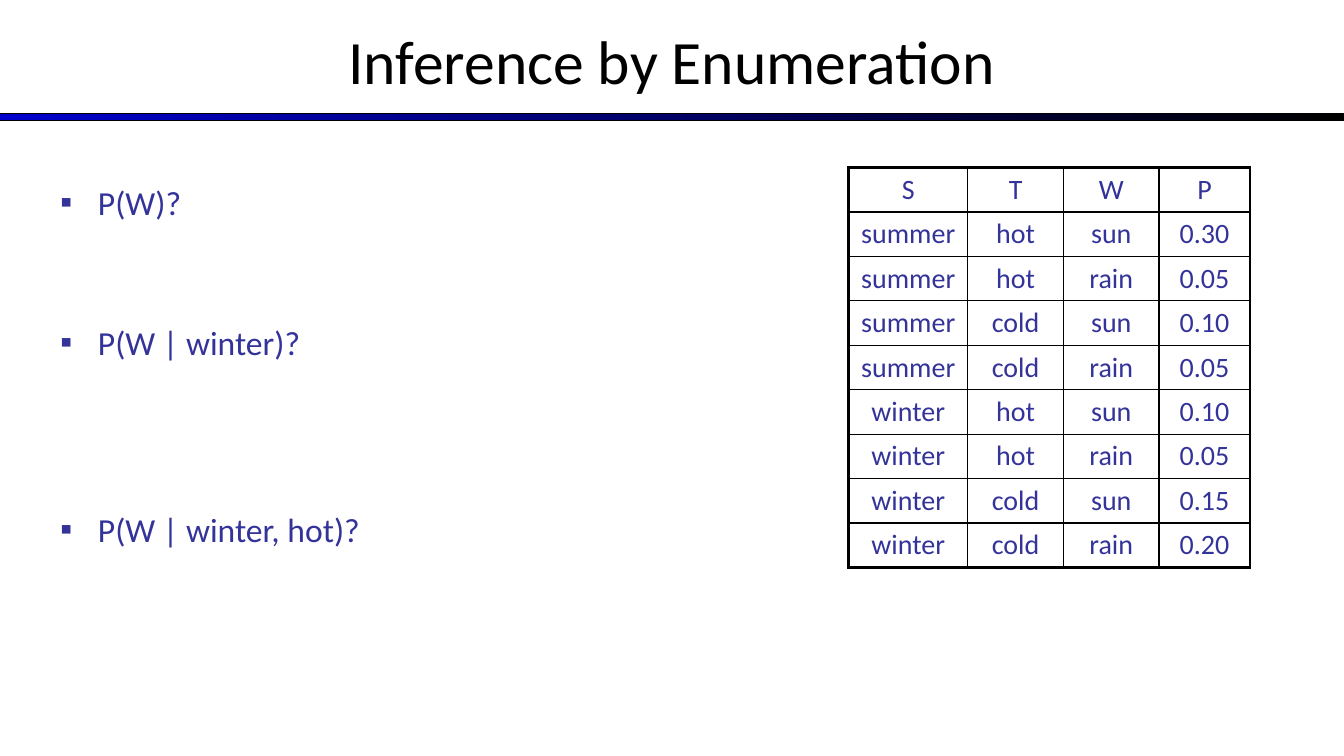
from dataclasses import dataclass
from itertools import product

from lxml.etree import SubElement
from pptx import Presentation
from pptx.dml.color import RGBColor
from pptx.enum.shapes import MSO_SHAPE as Shape
from pptx.enum.text import MSO_ANCHOR as Anchor, PP_ALIGN as Align
from pptx.oxml.ns import qn
from pptx.util import Cm, Pt

COLORS = {"text": "333399", "title": "000000", "border": "000000",
          "rule_start": "0000CC", "rule_end": "000000", "cell": "FFFFFF"}
FONT = "Calibri"
SLIDE_WIDTH, SLIDE_HEIGHT = 33.87, 19.05
ROW_HEIGHT = 1.12
OUTER_BORDER, INNER_BORDER = 2.25, 1


@dataclass
class Question:
    text: str
    space_before: float


@dataclass
class Column:
    heading: str
    width: float


QUESTIONS = [Question("P(W)?", 0), Question("P(W | winter)?", 71.4),
             Question("P(W | winter, hot)?", 105)]
COLUMNS = [Column("S", 3), Column("T", 2.41), Column("W", 2.41), Column("P", 2.29)]
PROBABILITIES = ["0.30", "0.05", "0.10", "0.05", "0.10", "0.05", "0.15", "0.20"]
OUTCOMES = product(["summer", "winter"], ["hot", "cold"], ["sun", "rain"])


def color(name: str) -> RGBColor:
    return RGBColor.from_string(COLORS[name])


def write_text(paragraph, text: str, *, size: float, color_name: str = "text",
               align=Align.CENTER, space_before: float = 0) -> None:
    paragraph.alignment = align
    paragraph.space_before = Pt(space_before)
    run = paragraph.add_run()
    run.text = text
    run.font.name = FONT
    run.font.size = Pt(size)
    run.font.bold = False
    run.font.color.rgb = color(color_name)


def add_bullet(paragraph) -> None:
    properties = paragraph._p.get_or_add_pPr()
    properties.set("marL", str(Cm(0.95)))
    properties.set("indent", str(Cm(-0.95)))
    bullet_color = SubElement(properties, qn("a:buClr"))
    SubElement(bullet_color, qn("a:srgbClr"), val=COLORS["text"])
    SubElement(properties, qn("a:buFont"), typeface=FONT)
    SubElement(properties, qn("a:buChar"), char="▪")


def set_border(cell, side: str, width: float) -> None:
    line = SubElement(cell._tc.get_or_add_tcPr(), qn(f"a:ln{side}"), w=str(Pt(width)))
    fill = SubElement(line, qn("a:solidFill"))
    SubElement(fill, qn("a:srgbClr"), val=COLORS["border"])


def add_rule(slide) -> None:
    rule = slide.shapes.add_shape(Shape.RECTANGLE, 0, Cm(2.87), Cm(SLIDE_WIDTH), Cm(0.18))
    rule.shadow.inherit = False
    rule.fill.gradient()
    rule.fill.gradient_angle = 0
    for stop, name, position in zip(rule.fill.gradient_stops,
                                    ["rule_start", "rule_end"], [0, 1]):
        stop.color.rgb = color(name)
        stop.position = position
    rule.line.color.rgb = color("border")
    rule.line.width = Pt(0.75)


def format_title(slide, text: str) -> None:
    title = slide.shapes.title
    title.left, title.top = Cm(0), Cm(-0.08)
    title.width, title.height = Cm(SLIDE_WIDTH), Cm(3.18)
    title.text_frame.vertical_anchor = Anchor.MIDDLE
    write_text(title.text_frame.paragraphs[0], text, size=44, color_name="title")


def add_questions(slide, questions: list[Question]) -> None:
    box = slide.shapes.add_textbox(Cm(1.27), Cm(4.45), Cm(11.23), Cm(12.57))
    frame = box.text_frame
    frame.word_wrap = True
    for index, question in enumerate(questions):
        paragraph = frame.add_paragraph() if index else frame.paragraphs[0]
        write_text(paragraph, question.text, size=24, align=Align.LEFT,
                   space_before=question.space_before)
        add_bullet(paragraph)


def add_joint_table(slide, columns: list[Column], rows: list[list[str]]) -> None:
    width = sum(column.width for column in columns)
    table = slide.shapes.add_table(len(rows), len(columns), Cm(21.39), Cm(4.22),
                                   Cm(width), Cm(ROW_HEIGHT * len(rows))).table
    table.first_row = table.horz_banding = False
    for table_column, column in zip(table.columns, columns):
        table_column.width = Cm(column.width)
    last_row, last_column = len(rows) - 1, len(columns) - 1
    for row_index, values in enumerate(rows):
        table.rows[row_index].height = Cm(ROW_HEIGHT)
        for column_index, value in enumerate(values):
            cell = table.cell(row_index, column_index)
            outer_sides = {"L": column_index == 0, "R": column_index == last_column,
                           "T": row_index == 0, "B": row_index == last_row}
            for side, is_outer in outer_sides.items():
                set_border(cell, side, OUTER_BORDER if is_outer else INNER_BORDER)
            cell.fill.solid()
            cell.fill.fore_color.rgb = color("cell")
            write_text(cell.text_frame.paragraphs[0], value, size=20)


def main() -> None:
    presentation = Presentation()
    presentation.slide_width = Cm(SLIDE_WIDTH)
    presentation.slide_height = Cm(SLIDE_HEIGHT)
    slide = presentation.slides.add_slide(presentation.slide_layouts[5])
    add_rule(slide)
    format_title(slide, "Inference by Enumeration")
    add_questions(slide, QUESTIONS)
    headings = [column.heading for column in COLUMNS]
    entries = [[*outcome, probability]
               for outcome, probability in zip(OUTCOMES, PROBABILITIES)]
    add_joint_table(slide, COLUMNS, [headings, *entries])
    presentation.save("out.pptx")


if __name__ == "__main__":
    main()
